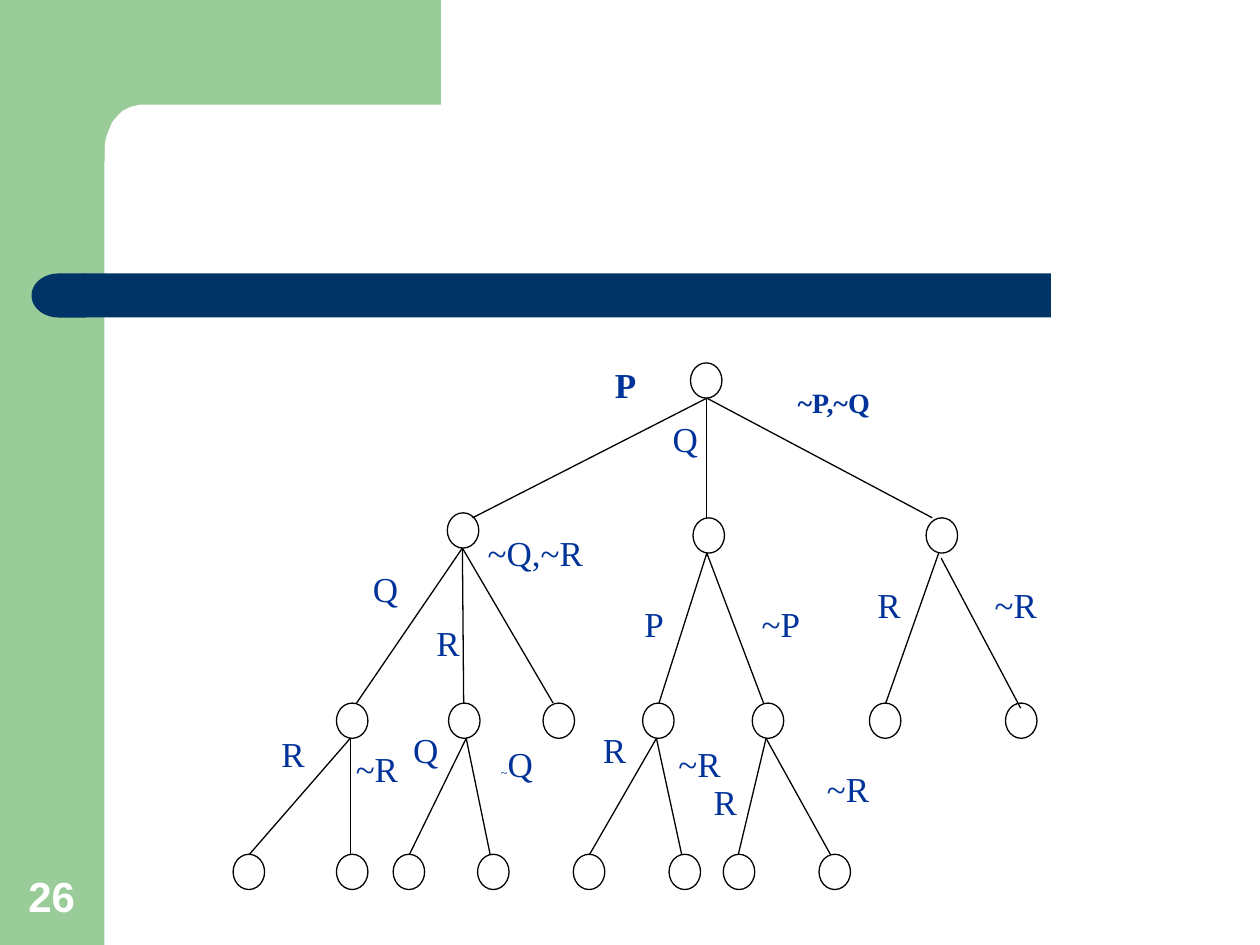
from dataclasses import dataclass

from lxml import etree
from pptx import Presentation
from pptx.dml.color import RGBColor
from pptx.enum.shapes import MSO_CONNECTOR, MSO_SHAPE
from pptx.enum.text import MSO_ANCHOR, PP_ALIGN
from pptx.oxml.ns import qn
from pptx.util import Inches, Pt

RECT, OVAL, DELAY = MSO_SHAPE.RECTANGLE, MSO_SHAPE.OVAL, MSO_SHAPE.FLOWCHART_DELAY
STRAIGHT = MSO_CONNECTOR.STRAIGHT
TOP, BOTTOM = MSO_ANCHOR.TOP, MSO_ANCHOR.BOTTOM
LEFT, CENTER, RIGHT = PP_ALIGN.LEFT, PP_ALIGN.CENTER, PP_ALIGN.RIGHT


@dataclass(frozen=True)
class Theme:
    green = RGBColor(0x99, 0xCC, 0x99)
    navy = RGBColor(0x00, 0x33, 0x66)
    label = RGBColor(0x00, 0x33, 0x99)
    white = RGBColor(0xFF, 0xFF, 0xFF)
    black = RGBColor(0, 0, 0)
    number_font = "Arial"
    label_font = "Times New Roman"
    number_size = Pt(24)
    label_size = Pt(20)
    small_size = Pt(16)
    tiny_size = Pt(7)
    line_width = Pt(0.75)


theme = Theme()
prs = Presentation()
prs.slide_width, prs.slide_height = Inches(10), Inches(7.5)
s = prs.slides.add_slide(prs.slide_layouts[6])


def add_box(kind, x, y, w, h, fill, line=None):
    sp = s.shapes.add_shape(kind, Inches(x), Inches(y), Inches(w), Inches(h))
    sp.shadow.inherit = False
    sp.fill.solid()
    sp.fill.fore_color.rgb = fill
    if line is None:
        sp.line.fill.background()
    else:
        sp.line.color.rgb = line
        sp.line.width = theme.line_width
    return sp


def style_run(r, font, size, color, bold=False):
    r.font.name, r.font.size, r.font.bold = font, size, bold
    r.font.color.rgb = color


# Background: side band, corner with a rounded inner edge, title bar
add_box(RECT, 0, 0, 0.83, 7.5, theme.green)
corner = [(3.5, 0.83), (1.11, 0.83), (1.03, 0.85), (0.97, 0.88), (0.93, 0.92),
          (0.89, 0.97), (0.86, 1.04), (0.84, 1.1), (0.83, 1.16), (0.83, 1.28),
          (0.5, 1.28), (0.5, 0)]
builder = s.shapes.build_freeform(Inches(3.5), 0)
builder.add_line_segments([(Inches(x), Inches(y)) for x, y in corner], close=True)
sp = builder.convert_to_shape()
sp.shadow.inherit = False
sp.fill.solid()
sp.fill.fore_color.rgb = theme.green
sp.line.fill.background()

add_box(RECT, 0.67, 2.17, 7.67, 0.35, theme.navy)
bar_end = add_box(DELAY, 0.25, 2.17, 0.43, 0.35, theme.navy)
bar_end.rotation = 180

# Slide number
tf = s.shapes.add_textbox(Inches(0.09), Inches(6.83), Inches(0.64), Inches(0.53)).text_frame
tf.word_wrap = True
tf.vertical_anchor = BOTTOM
tf.text = "26"
p = tf.paragraphs[0]
p.alignment = CENTER
style_run(p.runs[0], theme.number_font, theme.number_size, theme.white, True)

# Branch labels: text, left, top, width, height
WIDE, MEDIUM, NARROW = (0.82, 0.3), (0.37, 0.3), (0.21, 0.28)
labels = [
    ("P", 4.84, 3.01, NARROW), ("Q", 5.17, 3.44, MEDIUM), ("~P,~Q", 6.33, 3.16, WIDE),
    ("Q", 2.95, 4.63, NARROW), ("R", 3.28, 5.06, MEDIUM), ("~Q,~R", 3.87, 4.35, WIDE),
    ("P", 5.06, 4.91, NARROW), ("~P", 5.98, 4.91, MEDIUM),
    ("R", 6.94, 4.76, NARROW), ("~R", 7.86, 4.76, MEDIUM),
    ("R", 2.21, 5.94, NARROW), ("~R", 2.79, 6.06, MEDIUM),
    ("Q", 3.27, 5.91, NARROW), ("~Q", 3.86, 6.02, MEDIUM),
    ("R", 4.76, 5.91, NARROW), ("~R", 5.35, 6.02, MEDIUM),
    ("R", 5.64, 6.32, NARROW), ("~R", 6.53, 6.22, MEDIUM),
]
for text, x, y, size in labels:
    tf = add_box(RECT, x, y, *size, theme.white, theme.white).text_frame
    tf.margin_left = tf.margin_right = tf.margin_top = tf.margin_bottom = 0
    tf.vertical_anchor = TOP
    tf.word_wrap = True
    p = tf.paragraphs[0]
    p.alignment = LEFT if size == WIDE else RIGHT
    p.line_spacing = 0.56
    # The tilde of ~Q is set smaller than its letter
    for part in (text if text == "~Q" else [text]):
        r = p.add_run()
        r.text = part
        font_size = {"~": theme.tiny_size, "~P,~Q": theme.small_size}.get(part, theme.label_size)
        bold = text == "~P,~Q" or (text == "P" and y < 4)
        style_run(r, theme.label_font, font_size, theme.label, bold)

# Tree nodes: left edges by row
node_rows = [
    (2.88, [5.48]),
    (4.07, [3.55]),
    (4.11, [5.5, 7.35]),
    (5.58, [2.67, 3.56, 4.31, 5.1, 5.97, 6.9, 7.98]),
    (6.78, [1.85, 2.67, 3.12, 3.79, 4.55, 5.31, 5.74, 6.5]),
]
for y, lefts in node_rows:
    for x in lefts:
        add_box(OVAL, x, y, 0.25, 0.28, theme.white, theme.black)

# Branches: start point, end height, end positions
branches = [
    (5.61, 3.16, 4.11, [3.75, 5.61, 7.4]),
    (3.67, 4.35, 5.58, [2.83, 3.68, 4.39]),
    (5.61, 4.39, 5.58, [5.23, 6.06]),
    (7.45, 4.39, 5.58, [7.03]),
    (7.47, 4.43, 5.62, [8.1]),
    (2.78, 5.86, 6.78, [1.98, 2.78]),
    (3.7, 5.86, 6.78, [3.25, 3.89]),
    (5.21, 5.86, 6.78, [4.68, 5.41]),
    (6.08, 5.86, 6.78, [5.86, 6.59]),
]
for x, y, end_y, ends in branches:
    for end_x in ends:
        line = s.shapes.add_connector(STRAIGHT, Inches(x), Inches(y), Inches(end_x), Inches(end_y))
        line.line.color.rgb = theme.black
        line.line.width = theme.line_width
        etree.SubElement(line._element.spPr, qn("a:effectLst"))

prs.save("out.pptx")
